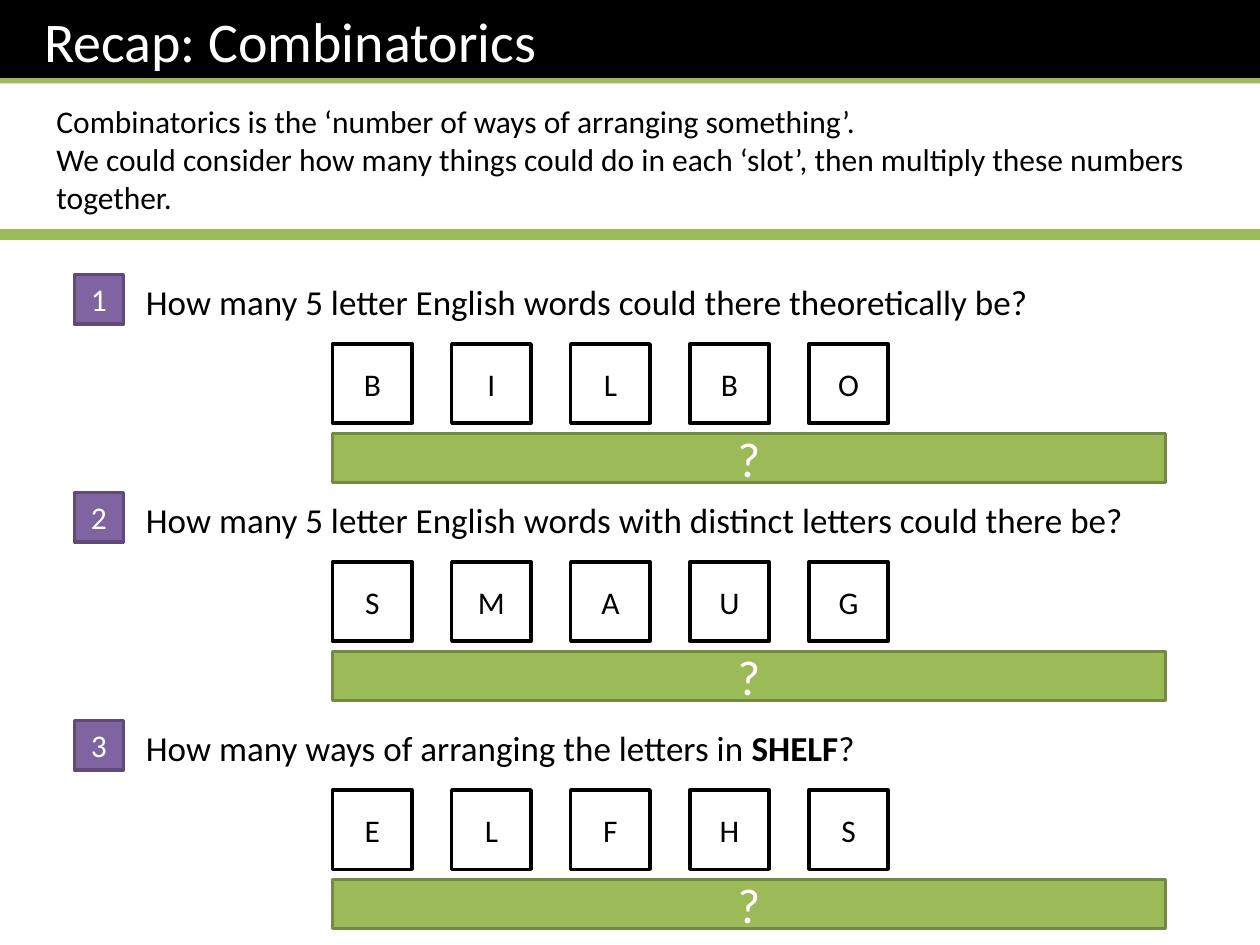
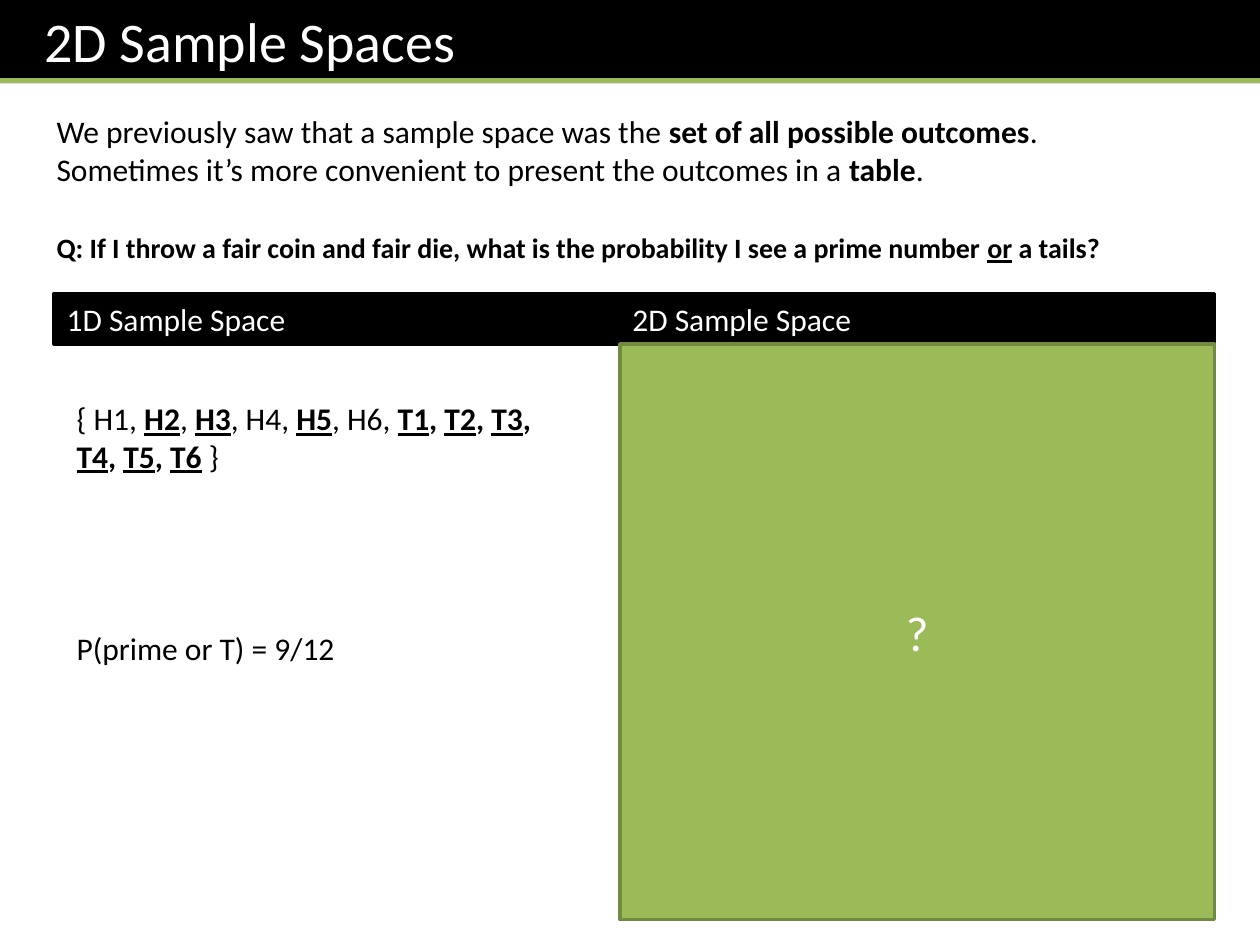
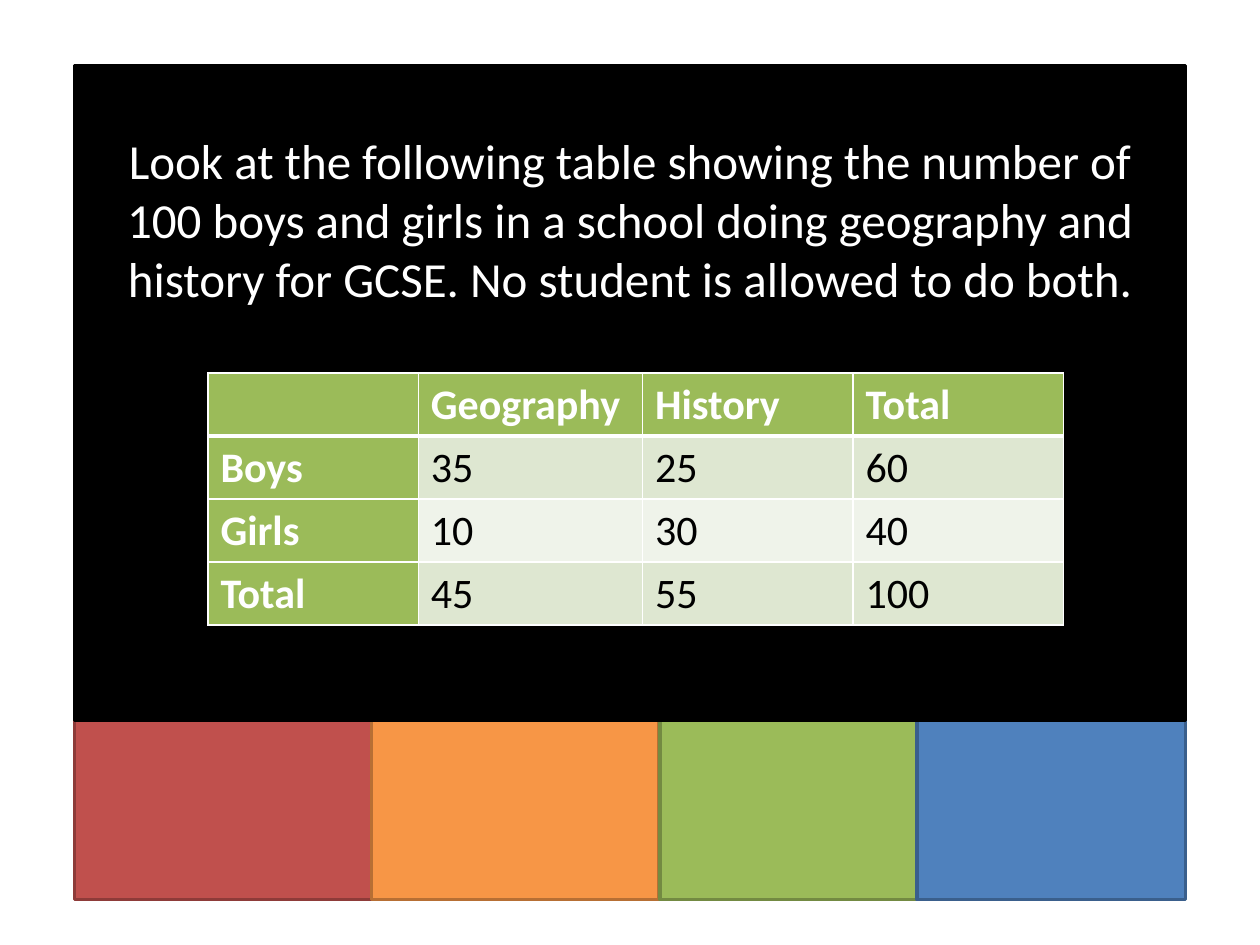
from lxml import etree
from pptx import Presentation
from pptx.dml.color import RGBColor
from pptx.enum.shapes import MSO_CONNECTOR, MSO_SHAPE
from pptx.enum.text import MSO_ANCHOR, PP_ALIGN
from pptx.oxml.ns import qn
from pptx.util import Inches, Pt

RECT, STRAIGHT = MSO_SHAPE.RECTANGLE, MSO_CONNECTOR.STRAIGHT
TOP, MIDDLE = MSO_ANCHOR.TOP, MSO_ANCHOR.MIDDLE
LEFT, CENTER = PP_ALIGN.LEFT, PP_ALIGN.CENTER

FONT = "Calibri"
COLORS = {
    "black": "000000", "white": "FFFFFF",
    "green": "9BBB59", "green_edge": "738A42",
    "purple": "8064A2", "purple_edge": "5F4A78",
    "red": "C0504D", "red_edge": "8E3B39",
    "orange": "F79646", "orange_edge": "B76F34",
    "blue": "4F81BD", "blue_edge": "3A5F8C",
    "row_dark": "DEE7D1", "row_light": "EFF3EA",
}

# A paragraph is a string or a list of (text, style) runs; style holds b and/or u.
INTRO = [
    "Combinatorics is the ‘number of ways of arranging something’.",
    "We could consider how many things could do in each ‘slot’, "
    "then multiply these numbers together.",
]
QUESTIONS = [  # top, question, letters
    (2.18, "How many 5 letter English words could there theoretically be?", "BILBO"),
    (3.91, "How many 5 letter English words with distinct letters could there be?", "SMAUG"),
    (5.72, [("How many ways of arranging the letters in ", ""), ("SHELF", "b"), ("?", "")],
     "ELFHS"),
]
SAMPLE_INTRO = [
    [("We previously saw that a sample space was the ", ""),
     ("set of all possible outcomes", "b"), (".", "")],
    [("Sometimes it’s more convenient to present the outcomes in a ", ""),
     ("table", "b"), (".", "")],
]
COIN_QUESTION = [
    ("Q: If I throw a fair coin and fair die, what is the probability I see a prime number ", "b"),
    ("or", "bu"), (" a tails?", "b"),
]
OUTCOMES = [
    ("{ H1, ", ""), ("H2", "bu"), (", ", ""), ("H3", "bu"), (", H4, ", ""),
    ("H5", "bu"), (", H6, ", ""), ("T1", "bu"), (", ", "b"), ("T2", "bu"),
    (", ", "b"), ("T3", "bu"), (", ", "b"), ("T4", "bu"), (", ", "b"),
    ("T5", "bu"), (", ", "b"), ("T6", "bu"), (" }", ""),
]
PROBABILITY = "P(prime or T) = 9/12"
SCHOOL = ("Look at the following table showing the number of 100 boys and girls in a school "
          "doing geography and history for GCSE. No student is allowed to do both.")
SUBJECTS = [
    ["", "Geography", "History", "Total"],
    ["Boys", "35", "25", "60"],
    ["Girls", "10", "30", "40"],
    ["Total", "45", "55", "100"],
]
SUBJECT_WIDTHS = [1.67, 1.78, 1.67, 1.67]
ANSWER_TILES = [  # colour, left, width
    ("red", 0.59, 2.36), ("orange", 2.95, 2.28), ("green", 5.24, 2.13), ("blue", 7.28, 2.13),
]


def rgb(name):
    return RGBColor.from_string(COLORS[name])


def write(tf, paragraphs, size, color, align=LEFT, anchor=TOP):
    tf.word_wrap = True
    tf.vertical_anchor = anchor
    for i, runs in enumerate(paragraphs):
        p = tf.add_paragraph() if i else tf.paragraphs[0]
        p.alignment = align
        for text, style in [(runs, "")] if isinstance(runs, str) else runs:
            r = p.add_run()
            r.text = text
            r.font.name, r.font.size = FONT, Pt(size)
            r.font.color.rgb = rgb(color)
            r.font.bold, r.font.underline = "b" in style, "u" in style


def add_text(slide, box, paragraphs, size, color="black", align=LEFT):
    tf = slide.shapes.add_textbox(*map(Inches, box)).text_frame
    write(tf, paragraphs, size, color, align)
    return tf


def add_box(slide, box, fill, edge=None, text=None, size=18, color="white",
            align=CENTER, anchor=MIDDLE):
    sp = slide.shapes.add_shape(RECT, *map(Inches, box))
    sp.shadow.inherit = False
    sp.fill.solid()
    sp.fill.fore_color.rgb = rgb(fill)
    if edge:
        sp.line.color.rgb = rgb(edge)
        sp.line.width = Pt(2)
    else:
        sp.line.fill.background()
    if text:
        write(sp.text_frame, [text], size, color, align, anchor)
    return sp


def add_line(slide, start, end, color, width):
    line = slide.shapes.add_connector(STRAIGHT, *map(Inches, start + end))
    line.line.color.rgb = rgb(color)
    line.line.width = Pt(width)
    etree.SubElement(line._element.spPr, qn("a:effectLst"))


def add_answer(slide, box):
    add_box(slide, box, "green", "green_edge", "?", 28)


def add_title(slide, title):
    band = add_box(slide, (0, 0, 10, 0.66), "black", None, title, 32, align=LEFT, anchor=TOP)
    band.text_frame.margin_left = Inches(0.35)
    add_line(slide, (0, 0.64), (10, 0.64), "green", 3)


def set_borders(cell, widths):
    """Draw white cell borders; widths maps each side (L, R, T, B) to points."""
    tc_pr = cell._tc.get_or_add_tcPr()
    for side, width in widths.items():
        ln = etree.SubElement(tc_pr, qn("a:ln" + side), w=str(Pt(width)))
        fill = etree.SubElement(ln, qn("a:solidFill"))
        etree.SubElement(fill, qn("a:srgbClr"), val=COLORS["white"])


def build_recap(slide):
    add_title(slide, "Recap: Combinatorics")
    add_text(slide, (0.35, 0.76, 9.37, 1.01), INTRO, 18)
    add_line(slide, (0, 1.86), (10, 1.86), "green", 6)
    first, last, side = 2.64, 6.42, 0.63
    for number, (top, question, letters) in enumerate(QUESTIONS, 1):
        add_box(slide, (0.59, top, 0.39, 0.39), "purple", "purple_edge", str(number))
        add_text(slide, (1.06, top, 8.27, 0.44), [question], 20)
        pitch = (last - first) / (len(letters) - 1)
        for i, letter in enumerate(letters):
            add_box(slide, (first + i * pitch, top + 0.55, side, side),
                    "white", "black", letter, color="black")
        add_answer(slide, (first, top + 1.26, 6.61, 0.39))


def build_sample_spaces(slide):
    add_title(slide, "2D Sample Spaces")
    add_text(slide, (0.35, 0.84, 9.29, 0.71), SAMPLE_INTRO, 18)
    add_text(slide, (0.35, 1.78, 9.29, 0.37), [COIN_QUESTION], 16)
    left, middle, right, top = 0.43, 4.92, 9.64, 2.33
    add_line(slide, (middle, 7.29), (middle, top), "black", 2)
    for heading, start, end in [("1D Sample Space", left, middle),
                                ("2D Sample Space", middle, right)]:
        add_box(slide, (start, top, end - start, 0.4), "black", "black", heading,
                align=LEFT, anchor=TOP)
    tf = add_text(slide, (0.51, 3.12, 4.17, 2.22), [OUTCOMES, PROBABILITY], 18)
    tf.paragraphs[1].space_before = Pt(88)
    add_answer(slide, (middle, top + 0.4, right - middle, 4.57))


def build_school_table(slide):
    for color, left, width in ANSWER_TILES:
        add_box(slide, (left, 5.72, width, 1.42), color, color + "_edge")
    add_box(slide, (0.59, 0.52, 8.82, 5.2), "black", "black")
    add_text(slide, (0.67, 0.99, 8.66, 1.51), [SCHOOL], 28, "white", CENTER)

    frame = slide.shapes.add_table(len(SUBJECTS), len(SUBJECT_WIDTHS), Inches(1.65),
                                   Inches(2.96), Inches(sum(SUBJECT_WIDTHS)), Inches(2))
    table = frame.table
    for column, width in zip(table.columns, SUBJECT_WIDTHS):
        column.width = Inches(width)
    for r, row in enumerate(SUBJECTS):
        for c, value in enumerate(row):
            cell = table.cell(r, c)
            set_borders(cell, {"L": 1, "R": 1, "T": 3 if r == 1 else 1, "B": 1 if r else 3})
            heading = r == 0 or c == 0
            cell.fill.solid()
            cell.fill.fore_color.rgb = rgb(
                "green" if heading else "row_dark" if r % 2 else "row_light")
            if value:
                write(cell.text_frame, [[(value, "b" if heading else "")]], 24,
                      "white" if heading else "black")


def main():
    prs = Presentation()
    prs.slide_width, prs.slide_height = Inches(10), Inches(7.5)
    for build in (build_recap, build_sample_spaces, build_school_table):
        build(prs.slides.add_slide(prs.slide_layouts[6]))
    prs.save("out.pptx")


if __name__ == "__main__":
    main()
